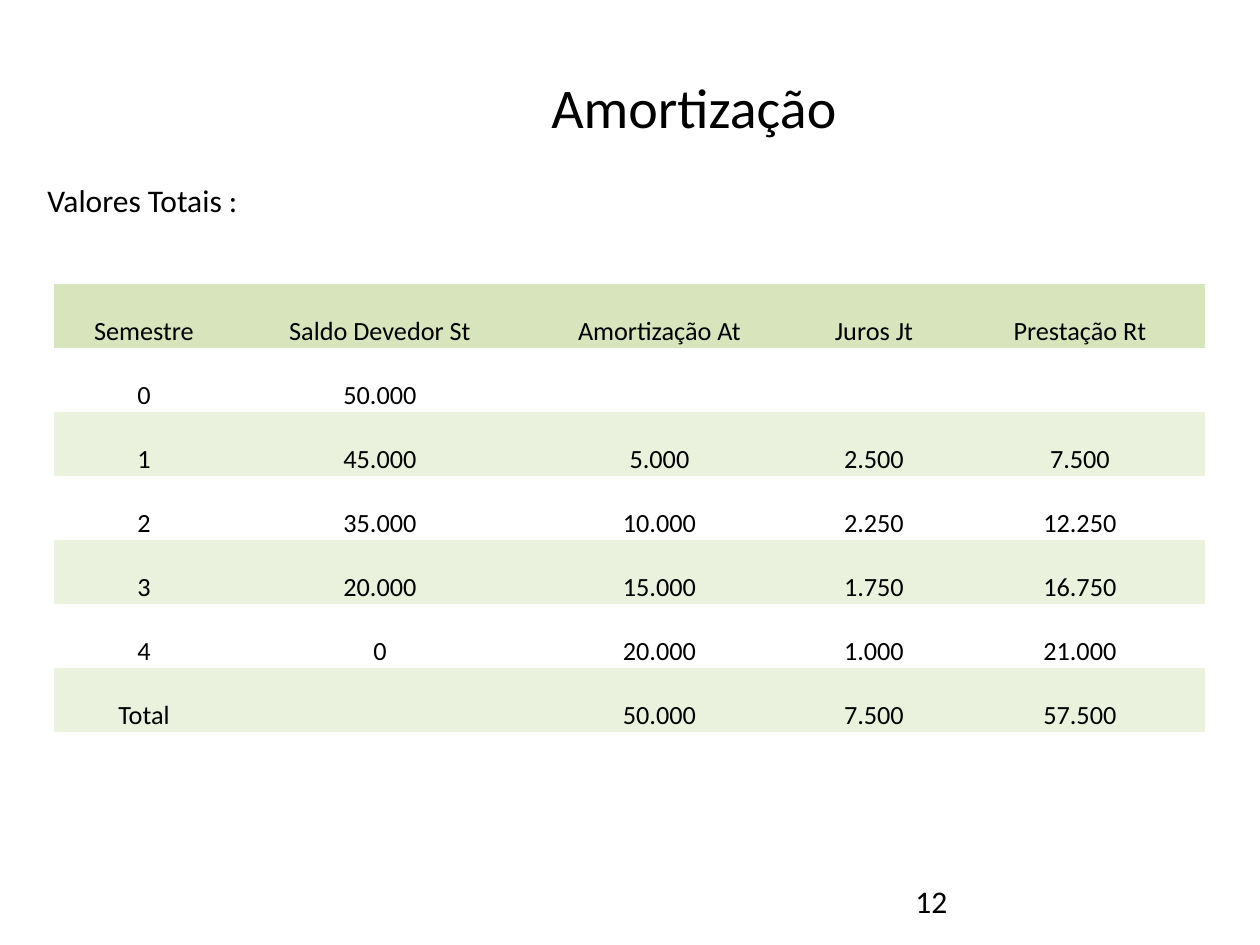
from dataclasses import dataclass

from pptx import Presentation
from pptx.dml.color import RGBColor
from pptx.enum.text import MSO_ANCHOR, PP_ALIGN
from pptx.oxml.ns import qn
from pptx.util import Pt

EMU_PER_PX = 914400 / 126
NO_GRID_STYLE = "{2D5ABB26-0587-4C30-8999-92F81FD0307C}"


@dataclass(frozen=True)
class Theme:
    font: str = "Calibri"
    ink: RGBColor = RGBColor(0, 0, 0)
    header: RGBColor = RGBColor(0xD7, 0xE4, 0xBC)
    band: RGBColor = RGBColor(0xEA, 0xF1, 0xDD)
    title_size: int = 32
    body_size: int = 18
    cell_size: int = 15


THEME = Theme()

HEADINGS = ["Semestre", "Saldo Devedor St", "Amortização At", "Juros Jt", "Prestação Rt"]
SCHEDULE = [
    ["0", "50.000", "", "", ""],
    ["1", "45.000", "5.000", "2.500", "7.500"],
    ["2", "35.000", "10.000", "2.250", "12.250"],
    ["3", "20.000", "15.000", "1.750", "16.750"],
    ["4", "0", "20.000", "1.000", "21.000"],
    ["Total", "", "50.000", "7.500", "57.500"],
]
COLUMN_WIDTHS = [180, 292, 267, 162, 250]


def px(length):
    return round(length * EMU_PER_PX)


def write(frame, text, size, align=PP_ALIGN.LEFT):
    paragraph = frame.paragraphs[0]
    paragraph.alignment = align
    run = paragraph.add_run()
    run.text = text
    font_format = {"name": THEME.font, "size": Pt(size)}
    for attribute, value in font_format.items():
        setattr(run.font, attribute, value)
    run.font.color.rgb = THEME.ink


def add_title(slide, box, text):
    title = slide.shapes.title
    for attribute, length in zip(("left", "top", "width", "height"), box):
        setattr(title, attribute, px(length))
    title.text_frame.vertical_anchor = MSO_ANCHOR.TOP
    write(title.text_frame, text, THEME.title_size, PP_ALIGN.CENTER)


def add_line_of_text(slide, box, text):
    frame = slide.shapes.add_textbox(*map(px, box)).text_frame
    frame.word_wrap = True
    write(frame, text, THEME.body_size)


def row_fill(row_number):
    """Header colour first, then a band on every second row."""
    if row_number == 0:
        return THEME.header
    return THEME.band if row_number % 2 == 0 else None


def add_schedule(slide, box):
    rows = [HEADINGS, *SCHEDULE]
    graphic = slide.shapes.add_table(len(rows), len(HEADINGS), *map(px, box))
    next(graphic.element.iter(qn("a:tableStyleId"))).text = NO_GRID_STYLE
    table = graphic.table
    for column, width in zip(table.columns, COLUMN_WIDTHS):
        column.width = px(width)
    cell_format = {
        "vertical_anchor": MSO_ANCHOR.BOTTOM,
        "margin_left": px(1),
        "margin_right": px(1),
        "margin_top": px(1),
        "margin_bottom": 0,
    }
    for row_number, values in enumerate(rows):
        table.rows[row_number].height = px(box[3] / len(rows))
        color = row_fill(row_number)
        for column_number, value in enumerate(values):
            cell = table.cell(row_number, column_number)
            for attribute, setting in cell_format.items():
                setattr(cell, attribute, setting)
            if color is None:
                cell.fill.background()
            else:
                cell.fill.solid()
                cell.fill.fore_color.rgb = color
            if value:
                write(cell.text_frame, value, THEME.cell_size, PP_ALIGN.CENTER)


def main():
    deck = Presentation()
    deck.slide_width, deck.slide_height = px(1260), px(945)
    slide = deck.slides.add_slide(deck.slide_layouts[5])
    add_line_of_text(slide, (903, 876, 294, 50), "12")
    add_title(slide, (114, 66, 1160, 110), "Amortização")
    add_line_of_text(slide, (35, 175, 1211, 89), "Valores Totais :")
    add_schedule(slide, (54, 284, sum(COLUMN_WIDTHS), 448))
    deck.save("out.pptx")


if __name__ == "__main__":
    main()
